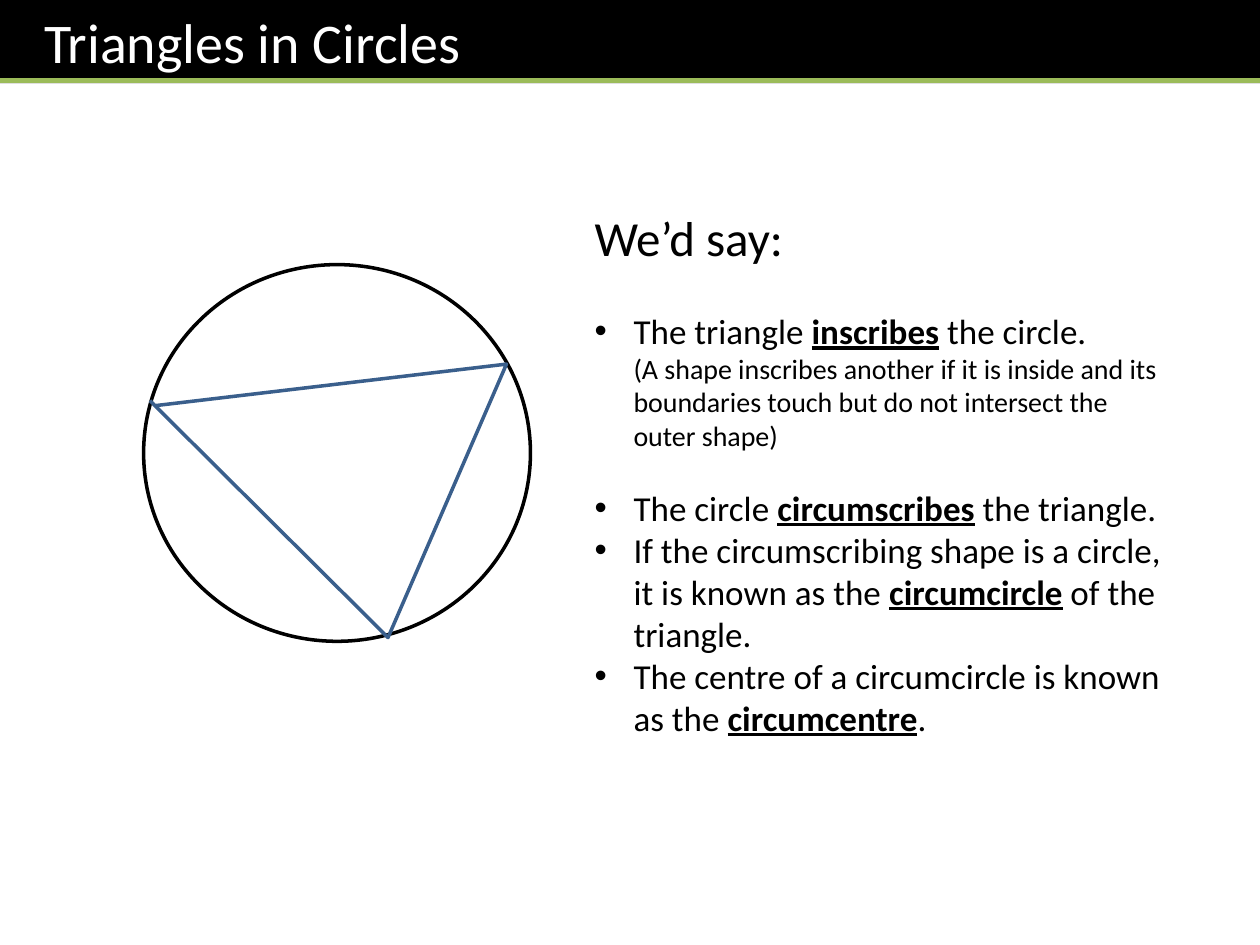
from lxml.etree import SubElement
from pptx import Presentation
from pptx.dml.color import RGBColor
from pptx.enum.shapes import MSO_CONNECTOR, MSO_SHAPE
from pptx.enum.text import MSO_ANCHOR, PP_ALIGN
from pptx.oxml.ns import qn
from pptx.util import Inches, Pt

COLORS = {"ink": "000000", "paper": "FFFFFF", "accent": "9BBB59", "triangle": "3A5F8C"}
FONT = "Calibri"
COLUMNS, ROWS = 100, 75  # grid over the whole slide
INDENT = Inches(0.31)


def color(name):
    return RGBColor.from_string(COLORS[name])


def add_span(para, text, size=20, ink="ink", key=False):
    """Add text to a paragraph; key terms are bold and underlined."""
    span = para.add_run()
    span.text = text
    font = span.font
    font.name, font.size = FONT, Pt(size)
    font.color.rgb = color(ink)
    if key:
        font.bold = font.underline = True


class SlideBuilder:
    def __init__(self, deck):
        self.deck = deck
        self.page = deck.slides.add_slide(deck.slide_layouts[6])
        self.shapes = self.page.shapes

    def x(self, column):
        return int(self.deck.slide_width * column / COLUMNS)

    def y(self, row):
        return int(self.deck.slide_height * row / ROWS)

    def area(self, left, top, width, height):
        return self.x(left), self.y(top), self.x(width), self.y(height)

    def style(self, shape, fill=None, line=None, weight=2):
        shape.shadow.inherit = False
        if fill:
            shape.fill.solid()
            shape.fill.fore_color.rgb = color(fill)
        else:
            shape.fill.background()
        if line:
            shape.line.color.rgb = color(line)
            shape.line.width = Pt(weight)
        else:
            shape.line.fill.background()

    def shape(self, kind, area, **look):
        shape = self.shapes.add_shape(kind, *self.area(*area))
        self.style(shape, **look)
        return shape

    def rule(self, row, line, weight):
        rule = self.shapes.add_connector(
            MSO_CONNECTOR.STRAIGHT, 0, self.y(row), self.x(COLUMNS), self.y(row))
        rule.line.color.rgb = color(line)
        rule.line.width = Pt(weight)
        SubElement(rule._element.spPr, qn("a:effectLst"))

    def outline(self, points, **look):
        start, *rest = [(self.x(column), self.y(row)) for column, row in points]
        builder = self.shapes.build_freeform(*start)
        builder.add_line_segments(rest, close=False)
        self.style(builder.convert_to_shape(), **look)

    def title(self, text, area):
        frame = self.shape(MSO_SHAPE.RECTANGLE, area, fill="ink").text_frame
        frame.margin_left = Inches(0.35)
        frame.vertical_anchor = MSO_ANCHOR.MIDDLE
        para = frame.paragraphs[0]
        para.alignment = PP_ALIGN.LEFT
        add_span(para, text, size=32, ink="paper")

    def text_box(self, area):
        frame = self.shapes.add_textbox(*self.area(*area)).text_frame
        frame.word_wrap = True
        return frame

    def bullet(self, frame, before, term, after, note=None, space=0):
        para = frame.add_paragraph()
        para.space_before = Pt(space)
        properties = para._p.get_or_add_pPr()
        properties.set("marL", str(INDENT))
        properties.set("indent", str(-INDENT))
        SubElement(properties, qn("a:buFont"), typeface="Arial")
        SubElement(properties, qn("a:buChar"), char="•")
        para.font.size = Pt(20)
        add_span(para, before)
        add_span(para, term, key=True)
        add_span(para, after)
        if note:
            para.add_line_break()
            add_span(para, note, size=16)


def main():
    deck = Presentation()
    deck.slide_width, deck.slide_height = Inches(10), Inches(7.5)
    slide = SlideBuilder(deck)

    # Title bar
    slide.title("Triangles in Circles", (0, 0, COLUMNS, 6.6))
    slide.rule(6.4, "accent", 3)

    # Circle with its inscribed triangle
    slide.shape(MSO_SHAPE.OVAL, (11.4, 21, 30.7, 29.9), fill="paper", line="ink")
    slide.outline([(11.9, 31.8), (30.8, 50.6), (40.2, 28.9), (12.3, 32.2)], line="triangle")

    # Vocabulary
    frame = slide.text_box((46.2, 16, 47.2, 46.4))
    add_span(frame.paragraphs[0], "We’d say:", size=28)
    slide.bullet(frame, "The triangle ", "inscribes", " the circle.", space=24.4,
                 note="(A shape inscribes another if it is inside and its "
                      "boundaries touch but do not intersect the outer shape)")
    slide.bullet(frame, "The circle ", "circumscribes", " the triangle.", space=19.5)
    slide.bullet(frame, "If the circumscribing shape is a circle, it is known as the ",
                 "circumcircle", " of the triangle.")
    slide.bullet(frame, "The centre of a circumcircle is known as the ", "circumcentre", ".")

    deck.save("out.pptx")


if __name__ == "__main__":
    main()
